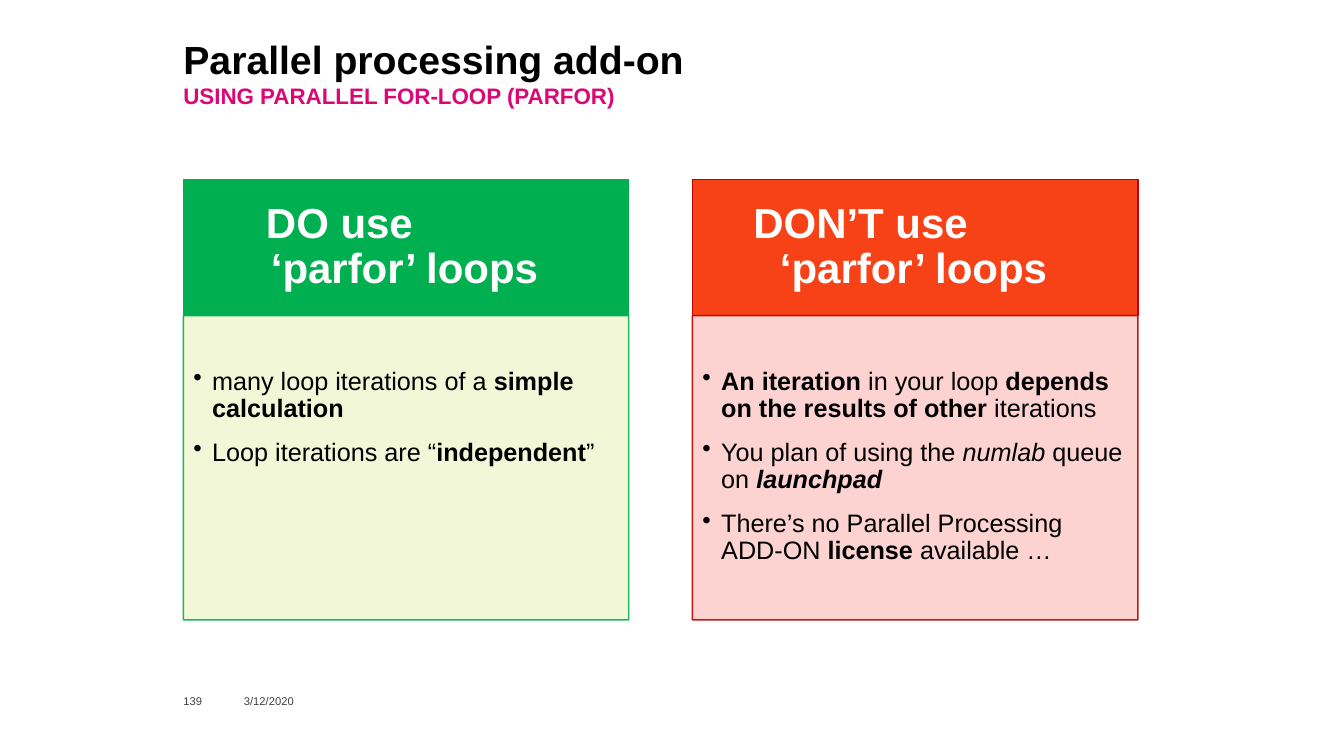
from lxml.etree import SubElement
from pptx import Presentation
from pptx.dml.color import RGBColor
from pptx.enum.shapes import MSO_SHAPE
from pptx.enum.text import MSO_ANCHOR, PP_ALIGN
from pptx.oxml.ns import qn
from pptx.util import Pt

COLORS = {
    "title": "000000", "subtitle": "DB0775", "footer": "404040",
    "heading": "FFFFFF", "body": "000000",
    "do": "00B050", "do_line": "00B050", "do_pale": "F0F7D3",
    "dont": "F74116", "dont_line": "C00000", "dont_pale": "FCCFCC",
}
LEFT = 131
PANEL_TOP, PANEL_WIDTH, PANEL_HEIGHT = 128.2, 318.2, 314.6
PANEL_STEP = 363.6
HEADING_HEIGHT = 97.2
BULLET_INDENT = 13.5

# Each run is (text, style); b is bold and i is italic.
PANELS = [
    ("do",
     [("DO use", 59), ("‘parfor’ loops", 62.5)],
     [[("many loop iterations of a ", ""), ("simple calculation", "b")],
      [("Loop iterations are “", ""), ("independent", "b"), ("”", "")]]),
    ("dont",
     [("DON’T use", 43.5), ("‘parfor’ loops", 62.5)],
     [[("An iteration ", "b"), ("in your loop ", ""),
       ("depends on the results of other", "b"), (" iterations", "")],
      [("You plan of using the ", ""), ("numlab", "i"),
       (" queue on ", ""), ("launchpad", "bi")],
      [("There’s no Parallel Processing ADD-ON ", ""),
       ("license", "b"), (" available …", "")]]),
]


def rgb(name):
    return RGBColor.from_string(COLORS[name])


def add_run(paragraph, text, size, color, style=""):
    run = paragraph.add_run()
    run.text = text
    run.font.name = "Arial"
    run.font.size = Pt(size)
    run.font.color.rgb = rgb(color)
    run.font.bold = "b" in style
    run.font.italic = "i" in style


def set_frame(frame, anchor, left=0, top=0, right=0, bottom=0):
    frame.word_wrap = True
    frame.vertical_anchor = anchor
    frame.margin_left, frame.margin_top = Pt(left), Pt(top)
    frame.margin_right, frame.margin_bottom = Pt(right), Pt(bottom)


def add_paragraphs(frame, count):
    """Return count left-aligned paragraphs, the first being the existing one."""
    paragraphs = [frame.paragraphs[0]]
    paragraphs += [frame.add_paragraph() for _ in range(count - 1)]
    for paragraph in paragraphs:
        paragraph.alignment = PP_ALIGN.LEFT
        paragraph.line_spacing = 0.9
    return paragraphs


def indent(paragraph, margin, first_line=0):
    properties = paragraph._p.get_or_add_pPr()
    properties.set("marL", str(Pt(margin)))
    properties.set("indent", str(Pt(first_line)))
    return properties


def add_label(slide, box, text, size, color, style="",
              anchor=MSO_ANCHOR.TOP, spacing=1.0):
    frame = slide.shapes.add_textbox(*map(Pt, box)).text_frame
    set_frame(frame, anchor)
    frame.paragraphs[0].line_spacing = spacing
    add_run(frame.paragraphs[0], text, size, color, style)


def add_rectangle(slide, box, fill, line, opacity=100):
    shape = slide.shapes.add_shape(MSO_SHAPE.RECTANGLE, *map(Pt, box))
    shape.shadow.inherit = False
    shape.fill.solid()
    shape.fill.fore_color.rgb = rgb(fill)
    shape.line.color.rgb = rgb(line)
    shape.line.width = Pt(1)
    if opacity < 100:
        for color in shape._element.spPr.iter(qn("a:srgbClr")):
            SubElement(color, qn("a:alpha")).set("val", str(opacity * 1000))
    return shape.text_frame


def add_header(slide, left, top, width):
    add_label(slide, (left, top, width, 26), "Parallel processing add-on",
              28, "title", "b", spacing=0.8)
    add_label(slide, (left, top + 26.6, width, 26),
              "USING PARALLEL FOR-LOOP (PARFOR)", 16, "subtitle", "b")


def add_panel_heading(slide, box, theme, lines):
    frame = add_rectangle(slide, box, theme, f"{theme}_line")
    set_frame(frame, MSO_ANCHOR.MIDDLE)
    for paragraph, (text, margin) in zip(add_paragraphs(frame, len(lines)), lines):
        indent(paragraph, margin)
        add_run(paragraph, text, 30, "heading", "b")


def add_panel_body(slide, box, theme, bullets):
    frame = add_rectangle(slide, box, f"{theme}_pale", f"{theme}_line", opacity=90)
    set_frame(frame, MSO_ANCHOR.TOP, left=7.2, top=37.8, right=10, bottom=11.5)
    for paragraph, runs in zip(add_paragraphs(frame, len(bullets)), bullets):
        paragraph.space_after = Pt(12)
        properties = indent(paragraph, BULLET_INDENT, -BULLET_INDENT)
        SubElement(properties, qn("a:buChar")).set("char", "•")
        for text, style in runs:
            add_run(paragraph, text, 18, "body", style)


def add_panel(slide, left, top, width, height, theme, lines, bullets):
    add_panel_heading(slide, (left, top, width, HEADING_HEIGHT), theme, lines)
    body_box = (left, top + HEADING_HEIGHT, width, height - HEADING_HEIGHT)
    add_panel_body(slide, body_box, theme, bullets)


def add_footer(slide, left, top, height):
    for text, offset, width in [("139", 0, 43), ("3/12/2020", 43.2, 49)]:
        add_label(slide, (left + offset, top, width, height), text, 8,
                  "footer", anchor=MSO_ANCHOR.MIDDLE)


def main():
    deck = Presentation()
    deck.slide_width, deck.slide_height = Pt(960), Pt(540)
    slide = deck.slides.add_slide(deck.slide_layouts[6])
    add_header(slide, LEFT, 31.7, 646.6)
    for column, (theme, lines, bullets) in enumerate(PANELS):
        add_panel(slide, LEFT + column * PANEL_STEP, PANEL_TOP, PANEL_WIDTH,
                  PANEL_HEIGHT, theme, lines, bullets)
    add_footer(slide, LEFT, 486.7, 28.8)
    deck.save("out.pptx")


if __name__ == "__main__":
    main()
